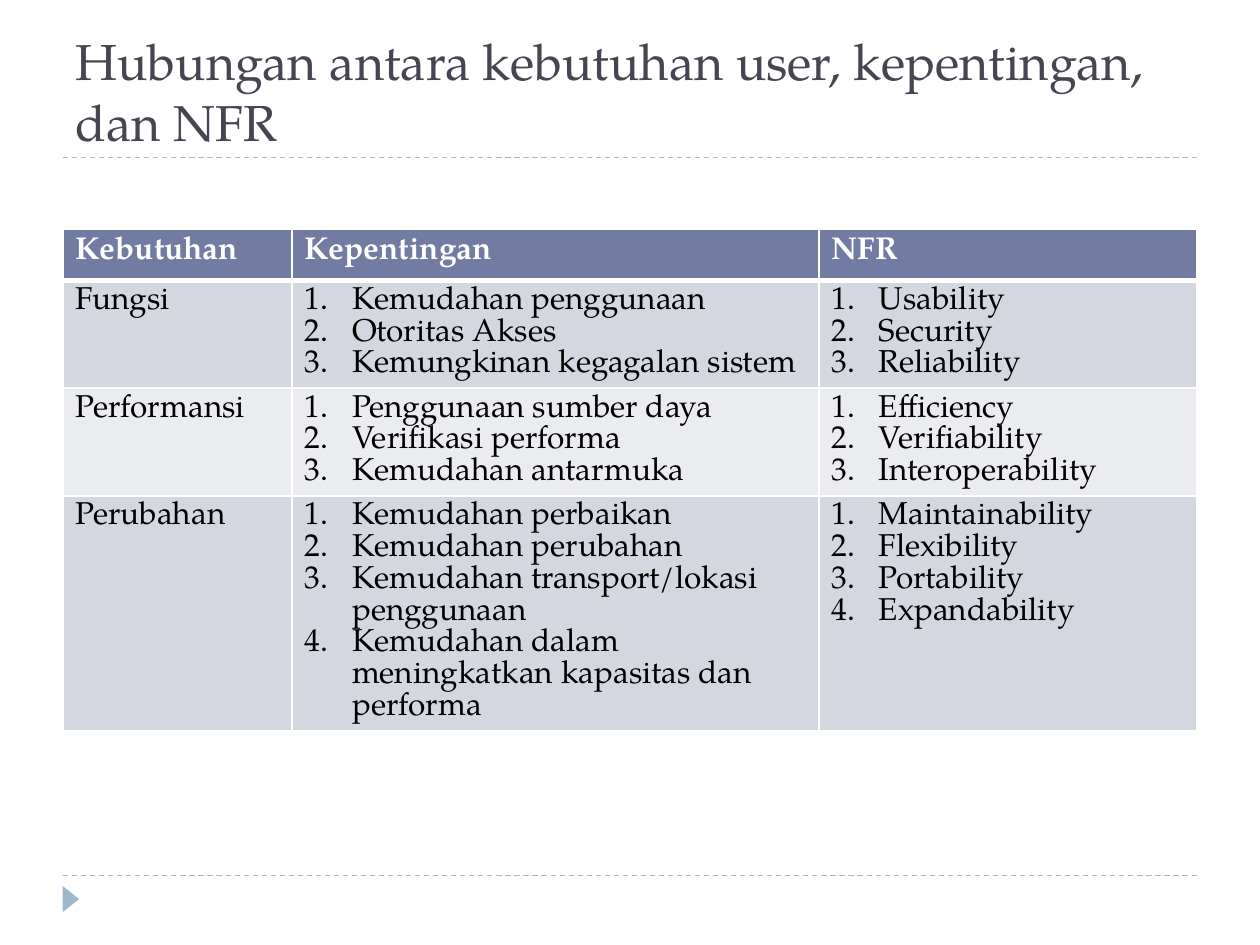
"""Build a slide with a table linking user needs, concerns and NFRs."""
from lxml import etree
from pptx import Presentation
from pptx.dml.color import RGBColor
from pptx.enum.dml import MSO_LINE
from pptx.enum.shapes import MSO_CONNECTOR, MSO_SHAPE
from pptx.enum.text import MSO_ANCHOR, MSO_AUTO_SIZE, PP_ALIGN
from pptx.oxml.ns import qn
from pptx.util import Pt

DASH = MSO_LINE.DASH
STRAIGHT = MSO_CONNECTOR.STRAIGHT
TRIANGLE = MSO_SHAPE.ISOSCELES_TRIANGLE
BOTTOM = MSO_ANCHOR.BOTTOM
NO_FIT = MSO_AUTO_SIZE.NONE
LEFT = PP_ALIGN.LEFT
FONT = "TeX Gyre Pagella"
ACCENT = "9FB8CD"

HEADERS = ["Kebutuhan", "Kepentingan", "NFR"]
NEEDS = [
    ("Fungsi",
     ["Kemudahan penggunaan", "Otoritas Akses", "Kemungkinan kegagalan sistem"],
     ["Usability", "Security", "Reliability"]),
    ("Performansi",
     ["Penggunaan sumber daya", "Verifikasi performa", "Kemudahan antarmuka"],
     ["Efficiency", "Verifiability", "Interoperability"]),
    ("Perubahan",
     ["Kemudahan perbaikan", "Kemudahan perubahan",
      "Kemudahan transport/lokasi penggunaan",
      "Kemudahan dalam meningkatkan kapasitas dan performa"],
     ["Maintainability", "Flexibility", "Portability", "Expandability"]),
]
ROWS = [[[header] for header in HEADERS]]
ROWS += [[[need], concerns, qualities] for need, concerns, qualities in NEEDS]
ROW_FILLS = ["727CA3", "D5D7E0", "EBECF0", "D5D7E0"]
ROW_HEIGHTS = [29.2, 61.5, 61.5, 133.9]
COLUMN_WIDTHS = [131, 301, 216]


def style_text(para, size, color, bold=False):
    """Format every run of a paragraph."""
    para.alignment = LEFT
    for span in para.runs:
        span.font.name = FONT
        span.font.size = Pt(size)
        span.font.bold = bold
        span.font.color.rgb = RGBColor.from_string(color)


def add_borders(cell, bottom_width):
    """Give a cell white borders on all sides."""
    properties = cell._tc.get_or_add_tcPr()
    for position, side in enumerate(["lnL", "lnR", "lnT", "lnB"]):
        width = bottom_width if side == "lnB" else 1
        border = etree.Element(qn(f"a:{side}"), w=str(Pt(width)))
        fill = etree.SubElement(border, qn("a:solidFill"))
        etree.SubElement(fill, qn("a:srgbClr"), val="FFFFFF")
        properties.insert(position, border)


deck = Presentation()
deck.slide_width, deck.slide_height = Pt(720), Pt(540)
page = deck.slides.add_slide(deck.slide_layouts[5])

for y in (500.4, 90):
    rule = page.shapes.add_connector(STRAIGHT, Pt(36), Pt(y), Pt(684), Pt(y))
    rule.line.color.rgb = RGBColor.from_string(ACCENT)
    rule.line.width = Pt(0.75)
    rule.line.dash_style = DASH
    etree.SubElement(rule._element.spPr, qn("a:effectLst"))

marker = page.shapes.add_shape(TRIANGLE, Pt(33), Pt(509), Pt(15), Pt(9.5))
marker.rotation = 90
marker.shadow.inherit = False
marker.fill.solid()
marker.fill.fore_color.rgb = RGBColor.from_string(ACCENT)
marker.line.fill.background()

title = page.shapes.title
title.left, title.top, title.width, title.height = Pt(36), Pt(12), Pt(648), Pt(78)
title.text_frame.text = "Hubungan antara kebutuhan user, kepentingan, dan NFR"
title.text_frame.word_wrap = True
title.text_frame.auto_size = NO_FIT
title.text_frame.vertical_anchor = BOTTOM
style_text(title.text_frame.paragraphs[0], 28.8, "464653")

table = page.shapes.add_table(len(ROWS), len(HEADERS), Pt(36), Pt(131),
                              Pt(sum(COLUMN_WIDTHS)), Pt(sum(ROW_HEIGHTS))).table
table.horz_banding = False
for column, width in zip(table.columns, COLUMN_WIDTHS):
    column.width = Pt(width)
for row, height in zip(table.rows, ROW_HEIGHTS):
    row.height = Pt(height)

for row_index, row_cells in enumerate(ROWS):
    is_header = row_index == 0
    for column_index, lines in enumerate(row_cells):
        cell = table.cell(row_index, column_index)
        cell.fill.solid()
        cell.fill.fore_color.rgb = RGBColor.from_string(ROW_FILLS[row_index])
        add_borders(cell, 3 if is_header else 1)
        cell.text_frame.text = "\n".join(lines)
        for para in cell.text_frame.paragraphs:
            para.line_spacing = Pt(18.1)
            style_text(para, 18, "FFFFFF" if is_header else "000000", is_header)
            if not is_header and column_index > 0:
                properties = para._p.get_or_add_pPr()
                properties.set("marL", str(Pt(27)))
                properties.set("indent", str(-Pt(27)))
                etree.SubElement(properties, qn("a:buFont"), typeface="+mj-lt")
                etree.SubElement(properties, qn("a:buAutoNum"), type="arabicPeriod")

deck.save("out.pptx")
